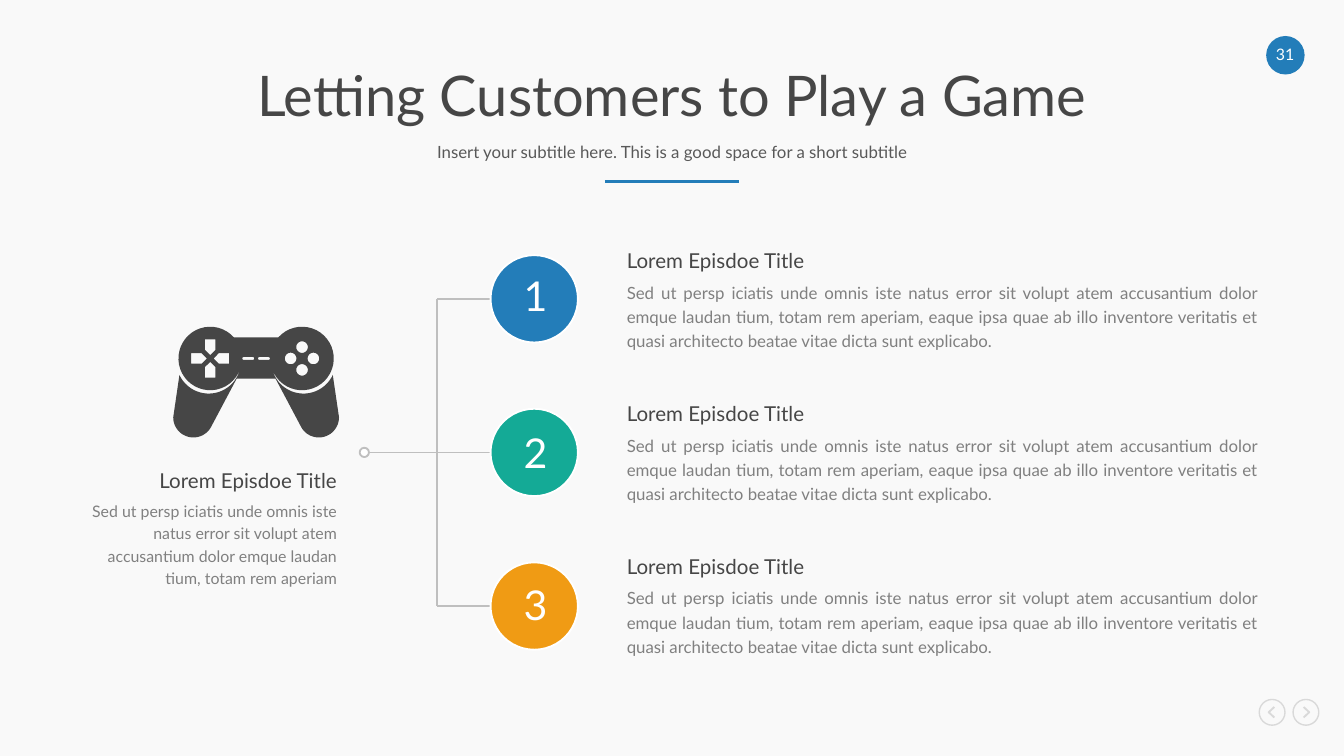
import math

import pptx
import pptx.dml.color
import pptx.enum.shapes
import pptx.enum.text
import pptx.oxml.ns
import pptx.util
from lxml import etree

Pt = pptx.util.Pt
SHAPE = pptx.enum.shapes.MSO_SHAPE
ALIGN = pptx.enum.text.PP_ALIGN
ANCHOR = pptx.enum.text.MSO_ANCHOR
COLORS = {
    "back": "F9F9F9", "white": "FFFFFF", "dark": "464646", "subtitle": "595959",
    "body": "808080", "line": "BFBFBF", "nav": "D9D9D9",
    "blue": "237DB9", "green": "14AA96", "orange": "F09B14",
}
TITLE = "Lorem Episdoe Title"
SHORT = ("Sed ut persp iciatis unde omnis iste natus error sit volupt atem "
         "accusantium dolor emque laudan tium, totam rem aperiam")
LONG = SHORT + (", eaque ipsa quae ab illo inventore veritatis et "
                "quasi architecto beatae vitae dicta sunt explicabo.")


def rgb(name):
    return pptx.dml.color.RGBColor.from_string(COLORS[name])


def paint(sp, fill=None, line=None, width=1):
    sp.shadow.inherit = False
    if fill:
        sp.fill.solid()
        sp.fill.fore_color.rgb = rgb(fill)
    else:
        sp.fill.background()
    if line:
        sp.line.color.rgb = rgb(line)
        sp.line.width = Pt(width)
    else:
        sp.line.fill.background()


def add_circle(s, cx, cy, radius, fill=None, line=None, width=1):
    sp = s.shapes.add_shape(SHAPE.OVAL, Pt(cx - radius), Pt(cy - radius),
                            Pt(2 * radius), Pt(2 * radius))
    paint(sp, fill, line, width)


def add_outline(s, contours, fill=None, line=None, width=1):
    """Draw closed filled contours (inner ones are holes), or open strokes without fill."""
    builder = None
    for contour in contours:
        points = [(Pt(x), Pt(y)) for x, y in contour]
        if builder is None:
            builder = s.shapes.build_freeform(*points[0])
        else:
            builder.move_to(*points[0])
        builder.add_line_segments(points[1:], close=fill is not None)
    paint(builder.convert_to_shape(), fill, line, width)


def add_line(s, x1, y1, x2, y2, color="line", width=1):
    c = s.shapes.add_connector(pptx.enum.shapes.MSO_CONNECTOR.STRAIGHT,
                               Pt(x1), Pt(y1), Pt(x2), Pt(y2))
    c.line.color.rgb = rgb(color)
    c.line.width = Pt(width)
    etree.SubElement(c._element.spPr, pptx.oxml.ns.qn("a:effectLst"))


def add_text(s, text, x, y, w, h, size, color, align=ALIGN.CENTER,
             spacing=None, anchor=ANCHOR.TOP):
    tf = s.shapes.add_textbox(Pt(x), Pt(y), Pt(w), Pt(h)).text_frame
    tf.word_wrap = True
    tf.vertical_anchor = anchor
    tf.margin_left = tf.margin_right = tf.margin_top = tf.margin_bottom = 0
    p = tf.paragraphs[0]
    p.text = text
    p.alignment = align
    p.line_spacing = spacing
    p.font.name = "Lato"
    p.font.size = Pt(size)
    p.font.color.rgb = rgb(color)


def add_header(s):
    add_line(s, 324, 97.2, 396, 97.2, "blue", 1.5)
    add_circle(s, 688.6, 29.6, 10.3, "blue")
    add_text(s, "31", 679.8, 23.8, 17.2, 10.2, 8.5, "white")
    add_text(s, "Letting Customers to Play a Game", 46.8, 34.5, 626.4, 36,
             30, "dark", spacing=0.9, anchor=ANCHOR.MIDDLE)
    add_text(s, "Insert your subtitle here. This is a good space for a short subtitle",
             46.8, 73.1, 626.4, 18, 9, "subtitle", spacing=0.9, anchor=ANCHOR.MIDDLE)


def add_navigation(s):
    cy = 381.6
    for cx, side in ((681.5, -1), (699.6, 1)):
        add_circle(s, cx, cy, 6.9, line="nav", width=0.75)
        add_outline(s, [[(cx - side * 1.2, cy - 2.8), (cx + side * 1.8, cy),
                         (cx - side * 1.2, cy + 2.8)]], line="nav")


def arc(cx, cy, radius, start, end, steps=36):
    """Return points along an arc; degrees run clockwise from the right."""
    angles = [math.radians(start + (end - start) * i / steps) for i in range(steps + 1)]
    return [(cx + radius * math.cos(a), cy + radius * math.sin(a)) for a in angles]


def add_gamepad(s, cx, cy):
    """Draw a controller whose two pads lie level with cy, mirrored about cx."""
    pad_dx = 24.6
    half = (arc(pad_dx, 0, 17, -138, 160) + arc(25.4, 1.5, 17.3, 165, 25)
            + arc(33.6, 31.5, 10.8, 0, 153) + [(10.4, 10.8)])
    contours = [half + [(-x, y) for x, y in reversed(half)]]
    arm = [(1.8, 0), (4.6, -2.8), (10.2, -2.8), (10.2, 2.8), (4.6, 2.8)]
    for ux, uy in ((1, 0), (0, 1), (-1, 0), (0, -1)):
        contours.append([(x * ux - y * uy - pad_dx, x * uy + y * ux) for x, y in arm])
        contours.append(arc(pad_dx + 6.1 * ux, 6.1 * uy, 3.1, 0, 360))
    for dash in (-4.2, 4.2):
        contours.append(arc(dash + 2.4, 0, 0.8, -90, 90, 8)
                        + arc(dash - 2.4, 0, 0.8, 90, 270, 8))
    add_outline(s, [[(cx + x, cy + y) for x, y in c] for c in contours], "dark")


def add_branches(s):
    spine, first, pitch = 234, 160.1, 82.3
    add_line(s, spine, first, spine, first + 2 * pitch)
    add_line(s, 198, first + pitch, spine, first + pitch)
    add_circle(s, 195.2, first + pitch, 2.5, "white", "line")
    steps = (("blue", 145), ("green", 229), ("orange", 310.4))
    for i, (color, number_top) in enumerate(steps):
        cy = first + i * pitch
        add_line(s, spine, cy, 262.8, cy)
        add_circle(s, 286.2, cy, 23.4, color, "white")
        add_text(s, str(i + 1), 268.2, number_top, 37.4, 26, 22, "white")
        top = 133.2 + 81.8 * i
        add_text(s, TITLE, 335.8, top, 337.6, 13, 11, "dark", ALIGN.JUSTIFY, Pt(13))
        add_text(s, LONG, 335.8, top + 16, 337.6, 38.2, 9, "body", ALIGN.JUSTIFY, Pt(13))


def main():
    prs = pptx.Presentation()
    prs.slide_width, prs.slide_height = Pt(720), Pt(405)
    s = prs.slides.add_slide(prs.slide_layouts[6])
    s.background.fill.solid()
    s.background.fill.fore_color.rgb = rgb("back")
    add_header(s)
    add_navigation(s)
    add_branches(s)
    add_gamepad(s, 137.2, 192.1)
    add_text(s, TITLE, 46.8, 252, 133.7, 12, 11, "dark", ALIGN.RIGHT, Pt(12))
    add_text(s, SHORT, 46.8, 267, 133.7, 47.5, 8.5, "body", ALIGN.RIGHT, Pt(12))
    prs.save("out.pptx")


if __name__ == "__main__":
    main()
